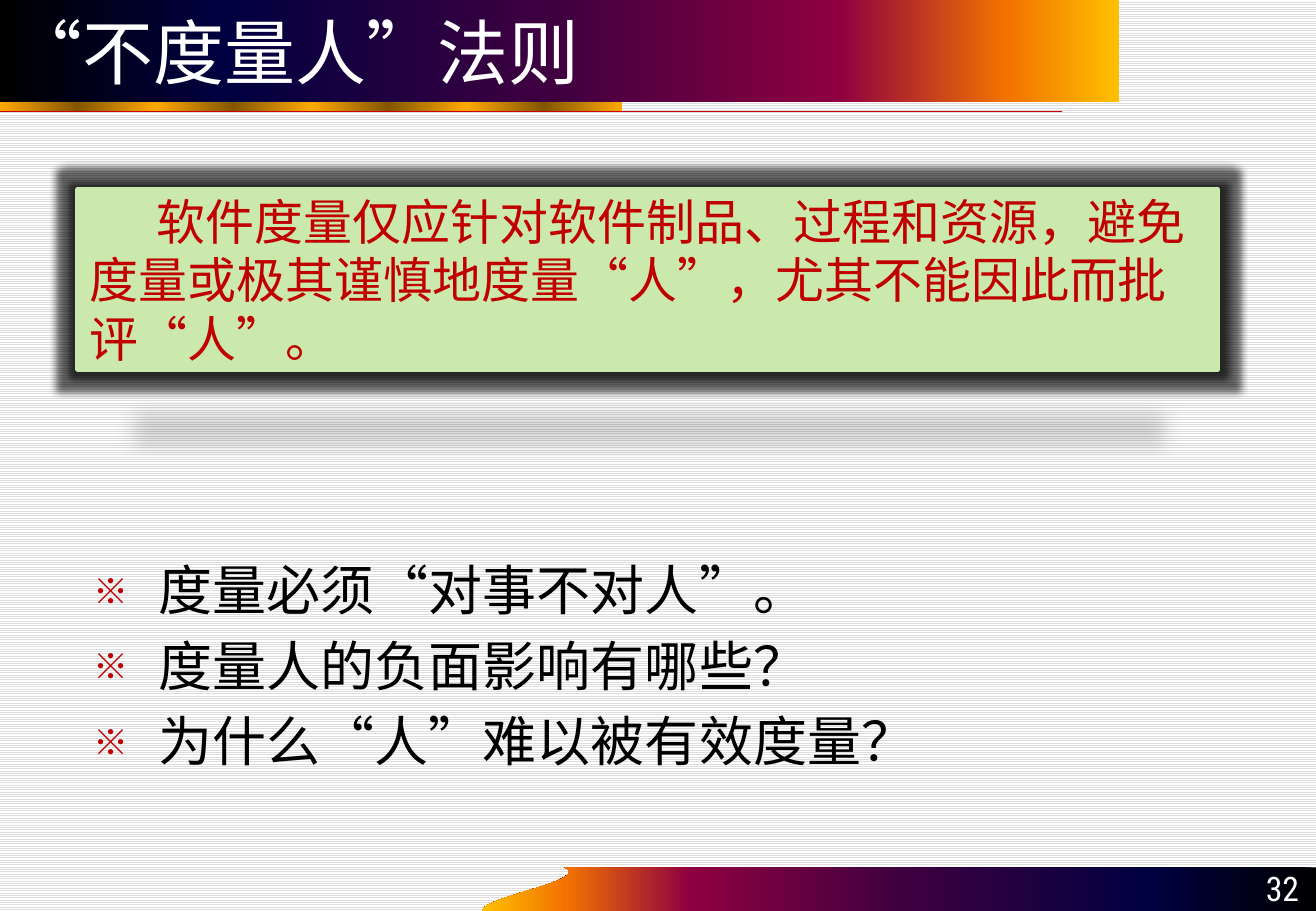
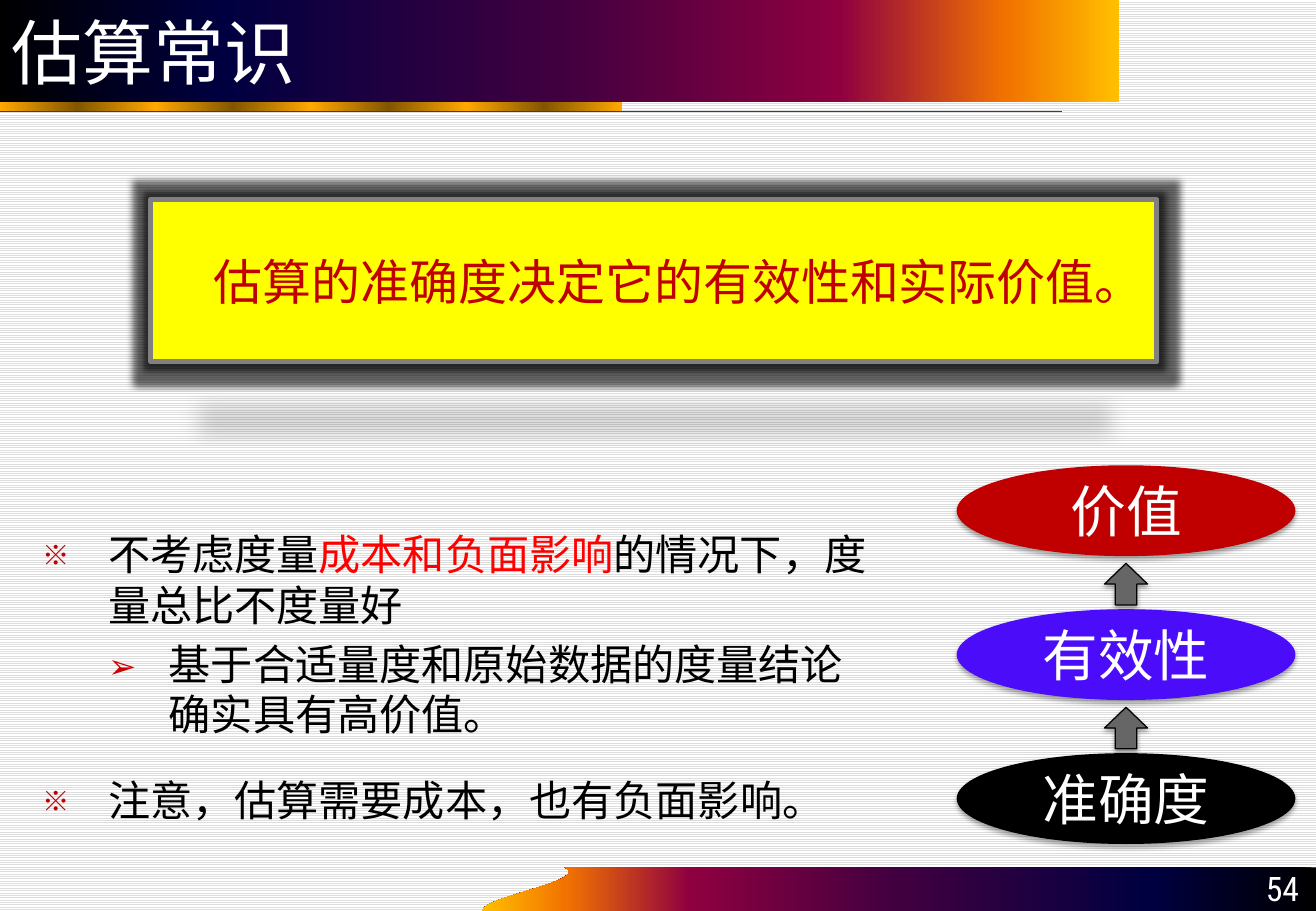
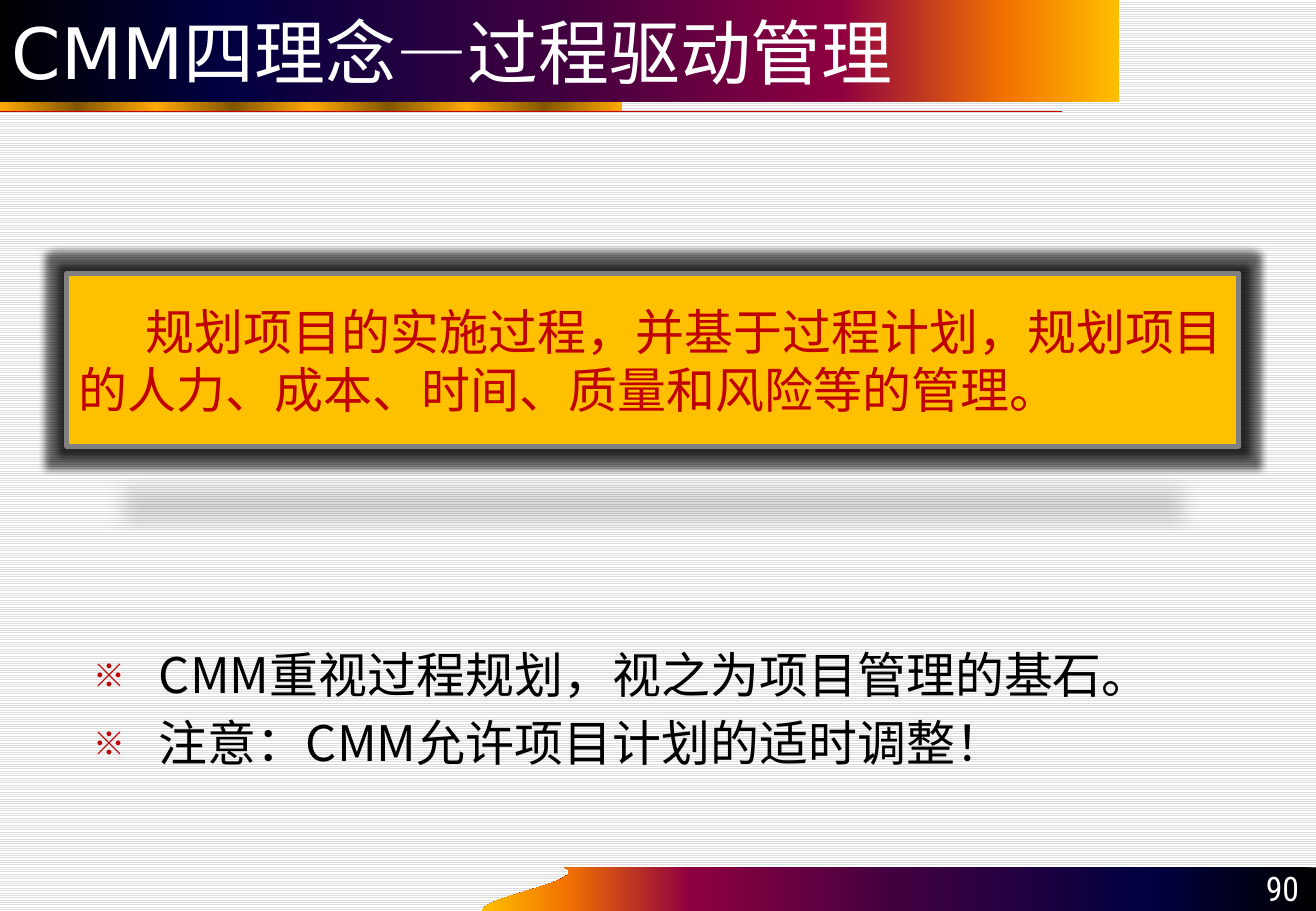
from dataclasses import dataclass

from lxml import etree
from pptx import Presentation
from pptx import util as u
from pptx.dml.color import RGBColor
from pptx.enum import dml, shapes, text
from pptx.oxml.ns import qn


@dataclass(frozen=True)
class Theme:
    head: str = "DejaVu Sans"
    body: str = "Noto Sans CJK SC"
    num: str = "Roboto Condensed"
    white: str = "FFFFFF"
    black: str = "000000"
    stripe: str = "DDDDDD"
    red: str = "C00000"
    rule: str = "CC0000"
    alert: str = "FF0000"
    gray: str = "808080"
    arrow: str = "666666"
    green: str = "CCE9AD"
    yellow: str = "FFFF00"
    amber: str = "FFC000"
    violet: str = "4B0DF9"
    title: int = 42
    large: int = 32
    mid: int = 29
    small: int = 25
    oval: int = 33
    page: int = 20
    band: tuple = ((0, "000000"), (20, "000040"), (50, "400040"),
                   (75, "8F0040"), (90, "F27300"), (100, "FFBF00"))
    gold: tuple = tuple((12.5 * i, ("FFA800", "825600")[i % 2]) for i in range(9))


T = Theme()
LEFT, MID, RIGHT = text.PP_ALIGN.LEFT, text.PP_ALIGN.CENTER, text.PP_ALIGN.RIGHT


def rgb(code):
    return RGBColor.from_string(code)


def sub(node, tag, **attrs):
    return etree.SubElement(node, qn(tag), {k: str(v) for k, v in attrs.items()})


def place(shape, box):
    shape.left, shape.top, shape.width, shape.height = map(u.Cm, box)


def grad(shape, stops, angle=0):
    shape.fill.gradient()
    fill = shape.element.spPr.find(qn("a:gradFill"))
    for child in list(fill):
        fill.remove(child)
    row = sub(fill, "a:gsLst")
    for pos, code in stops:
        stop = sub(row, "a:gs", pos=int(pos * 1000))
        sub(stop, "a:srgbClr", val=code)
    sub(fill, "a:lin", ang=angle * 60000, scaled=0)


def tint(node, alpha):
    color = sub(node, "a:srgbClr", val=T.black)
    sub(color, "a:alpha", val=alpha * 1000)


def shade(shape, alpha, blur, dist, glow=0, **scale):
    shape.shadow.inherit = False
    node = shape.element.spPr.find(qn("a:effectLst"))
    if glow:
        tint(sub(node, "a:glow", rad=u.Pt(glow)), 60)
    tint(sub(node, "a:outerShdw", blurRad=u.Pt(blur), dist=u.Pt(dist),
             dir=5400000, **scale, algn="b", rotWithShape=0), alpha)


def style(para, face, size, color, align=LEFT):
    para.alignment = align
    para.line_spacing = u.Pt(size * 1.2)
    font = para.font
    font.name, font.size, font.bold = face, u.Pt(size), False
    font.color.rgb = rgb(color)
    sub(para._p.pPr.find(qn("a:defRPr")), "a:ea", typeface=T.body)


def frame(shape, anchor, side=0.25, edge=0.13):
    tf = shape.text_frame
    tf.word_wrap = True
    tf.auto_size = text.MSO_AUTO_SIZE.NONE
    tf.vertical_anchor = anchor
    tf.margin_left = tf.margin_right = u.Cm(side)
    tf.margin_top = tf.margin_bottom = u.Cm(edge)
    return tf


def bullet(para, level):
    left, hang, mark, color, size = ((1.37, 1.37, "※", T.red, 65),
                                     (2.64, 1.27, "➢", T.rule, 80))[level]
    para.level = level
    props = para._p.get_or_add_pPr()
    props.set("marL", str(u.Cm(left)))
    props.set("indent", str(-u.Cm(hang)))
    sub(sub(props, "a:buClr"), "a:srgbClr", val=color)
    sub(props, "a:buSzPct", val=size * 1000)
    sub(props, "a:buFont", typeface=T.body)
    sub(props, "a:buChar", char=mark)


def items(slide, box, size, rows):
    body = slide.placeholders[1]
    place(body, box)
    tf = frame(body, text.MSO_ANCHOR.TOP)
    for i, (level, gap, parts) in enumerate(rows):
        para = tf.add_paragraph() if i else tf.paragraphs[0]
        bullet(para, level)
        para.space_before = u.Pt(gap if i else 0)
        for part, color in parts:
            run = para.add_run()
            run.text = part
            if color:
                run.font.color.rgb = rgb(color)
        style(para, T.body, size, T.black)


def plain(size, *lines):
    return [(0, size * 0.2, [(line, None)]) for line in lines]


def solid(slide, kind, box, fill, line=None, width=0.75):
    shape = slide.shapes.add_shape(kind, *map(u.Cm, box))
    shape.fill.solid()
    shape.fill.fore_color.rgb = rgb(fill)
    if line:
        shape.line.color.rgb = rgb(line)
        shape.line.width = u.Pt(width)
    else:
        shape.line.fill.background()
    return shape


def panel(slide, box, fill, line, words, align=LEFT, indent=1.4):
    shape = solid(slide, shapes.MSO_SHAPE.RECTANGLE, box, fill, line, 3)
    shade(shape, 15, 12, 25, glow=8, sx=90000, sy=-19000)
    para = frame(shape, text.MSO_ANCHOR.MIDDLE).paragraphs[0]
    para.text = words
    para._p.get_or_add_pPr().set("indent", str(u.Cm(indent)))
    style(para, T.head, T.mid, T.red, align)


def ladder(slide, steps):
    left, top, wide, high, step = 20, 9.73, 7.08, 1.9, 3.01
    for i, (label, fill) in enumerate(steps):
        y = top + i * step
        oval = solid(slide, shapes.MSO_SHAPE.OVAL, (left, y, wide, high), fill)
        shade(oval, 35, 3.1, 1.8)
        para = frame(oval, text.MSO_ANCHOR.MIDDLE, 0.1, 0.05).paragraphs[0]
        para.text = label
        style(para, T.body, T.oval, T.white, MID)
        if i < len(steps) - 1:
            box = (left + (wide - 0.9) / 2, y + 2.05, 0.9, 0.87)
            arrow = solid(slide, shapes.MSO_SHAPE.UP_ARROW, box, T.arrow, T.black)
            shade(arrow, 38, 3.1, 1.6)


def curve(a, b, c, d, count=16):
    for i in range(1, count + 1):
        t = i / count
        s = 1 - t
        yield tuple(u.Cm(s**3 * p + 3 * s * s * t * q + 3 * s * t * t * r + t**3 * e)
                    for p, q, r, e in zip(a, b, c, d))


def wave(slide):
    right, low, high = 27.51, 19.05, 18.14
    start, end = (10.08, low), (11.81, high)
    pen = slide.shapes.build_freeform(*map(u.Cm, end))
    pen.add_line_segments([tuple(map(u.Cm, p))
                           for p in ((right, high), (right, low), start)], close=False)
    pen.add_line_segments(curve(start, (10.08, 18.75), (12.37, 18.42), end), close=True)
    shape = pen.convert_to_shape()
    grad(shape, T.band, 180)
    shape.line.fill.background()
    shape.shadow.inherit = False
    return shape


def decor(deck, slide):
    master = deck.slide_master
    fill = master.background.fill
    fill.patterned()
    fill.pattern = dml.MSO_PATTERN.LIGHT_HORIZONTAL
    fill.fore_color.rgb = rgb(T.stripe)
    fill.back_color.rgb = rgb(T.white)
    bar = solid(slide, shapes.MSO_SHAPE.RECTANGLE, (0, 2.13, 13, 0.21), T.amber)
    grad(bar, T.gold)
    bar.shadow.inherit = False
    rule = slide.shapes.add_connector(shapes.MSO_CONNECTOR.STRAIGHT,
                                      0, u.Cm(2.33), u.Cm(22.2), u.Cm(2.33))
    rule.line.color.rgb = rgb(T.rule)
    rule.line.width = u.Pt(0.75)
    sub(rule.element.spPr, "a:effectLst")
    for i, shape in enumerate((wave(slide), bar, rule)):
        shape.element.xpath(".//p:cNvPr")[0].set("id", str(20 + i))
        master.shapes.element.insert(2 + i, shape.element)


def start(deck, title, page):
    slide = deck.slides.add_slide(deck.slide_layouts[1])
    head = slide.shapes.title
    place(head, (0, 0, 23.39, 2.13))
    grad(head, T.band)
    para = frame(head, text.MSO_ANCHOR.MIDDLE).paragraphs[0]
    para.text = title
    style(para, T.head, T.title, T.white)
    box = slide.shapes.add_textbox(*map(u.Cm, (24.97, 18.11, 2.44, 1.02)))
    para = frame(box, text.MSO_ANCHOR.BOTTOM).paragraphs[0]
    para.text = page
    style(para, T.num, T.page, T.white, RIGHT)
    return slide


def main():
    deck = Presentation()
    deck.slide_width, deck.slide_height = u.Cm(27.51), u.Cm(19.05)

    slide = start(deck, "“不度量人”法则", "32")
    decor(deck, slide)
    items(slide, (1.7, 11.51, 24.08, 5.82), T.large, plain(
        T.large, "度量必须“对事不对人”。", "度量人的负面影响有哪些？",
        "为什么“人”难以被有效度量？"))
    panel(slide, (1.63, 3.96, 23.83, 3.76), T.green, T.green,
          "软件度量仅应针对软件制品、过程和资源，避免度量或极其谨慎地度量“人”，"
          "尤其不能因此而批评“人”。")

    slide = start(deck, "估算常识", "54")
    items(slide, (0.64, 10.92, 17.83, 6.4), T.small, [
        (0, 0, [("不考虑度量", None), ("成本和负面影响", T.alert),
                ("的情况下，度量总比不度量好", None)]),
        (1, 5, [("基于合适量度和原始数据的度量结论确实具有高价值。", None)]),
        (0, 21, [("注意，估算需要成本，也有负面影响。", None)])])
    panel(slide, (3.15, 4.17, 21.03, 3.4), T.yellow, T.gray,
          "估算的准确度决定它的有效性和实际价值。", RIGHT, 0)
    ladder(slide, (("价值", T.red), ("有效性", T.violet), ("准确度", T.black)))

    slide = start(deck, "CMM四理念—过程驱动管理", "90")
    items(slide, (1.7, 13.34, 24.08, 3.99), T.mid, plain(
        T.mid, "CMM重视过程规划，视之为项目管理的基石。",
        "注意：CMM允许项目计划的适时调整！"))
    panel(slide, (1.4, 5.72, 24.49, 3.61), T.amber, T.gray,
          "规划项目的实施过程，并基于过程计划，规划项目的人力、成本、时间、"
          "质量和风险等的管理。")

    deck.save("out.pptx")


if __name__ == "__main__":
    main()
